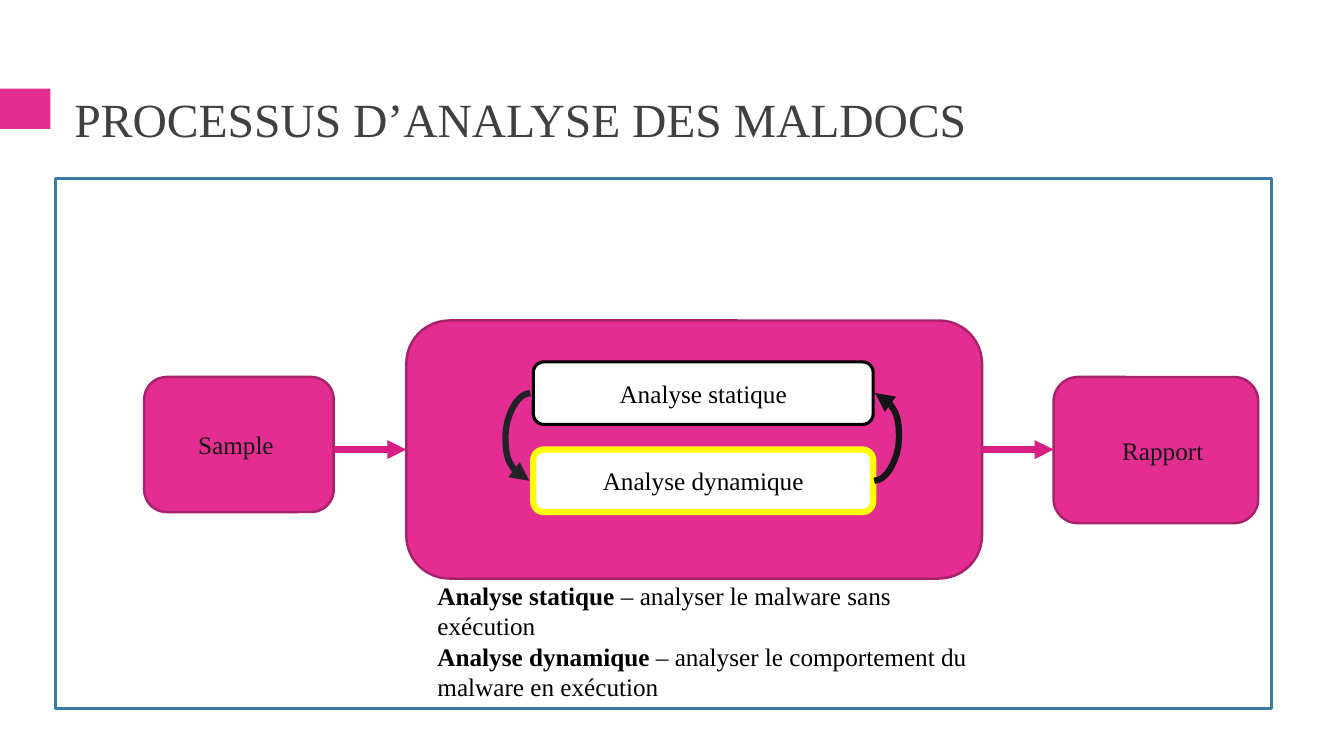
from pptx import Presentation
from pptx import util as u
from pptx.dml.color import RGBColor
from pptx.enum import shapes, text
from pptx.oxml import ns, xmlchemy as xml

HEX = {"pink": "E32D91", "plum": "A8216B", "rose": "D81D84", "blue": "3A7BA3",
       "gray": "404040", "ink": "151517", "dark": "222228", "black": "000000",
       "white": "FFFFFF", "gold": "FFFF00"}
KIND = shapes.MSO_SHAPE
LINK = shapes.MSO_CONNECTOR
ALIGN = text.PP_ALIGN


def rgb(name):
    return RGBColor.from_string(HEX[name])


def put(item, **vals):
    for key, val in vals.items():
        setattr(item, key, val)


def write(frame, paras, color, size=18, align=ALIGN.LEFT, left=0.1,
          anchor=text.MSO_ANCHOR.MIDDLE):
    """Fill a frame; each paragraph is a list of (text, bold) runs."""
    put(frame, word_wrap=True, vertical_anchor=anchor, margin_left=u.Inches(left))
    for i, runs in enumerate(paras):
        para = frame.paragraphs[0] if i == 0 else frame.add_paragraph()
        para.alignment = align
        for words, bold in runs:
            run = para.add_run()
            run.text = words
            put(run.font, name="Times New Roman", size=u.Pt(size), bold=bold)
            run.font.color.rgb = rgb(color)


def block(slide, box, fill=None, line=None, width=1.75, kind=KIND.ROUNDED_RECTANGLE):
    item = slide.shapes.add_shape(kind, *map(u.Inches, box))
    item.shadow.inherit = False
    if fill:
        item.fill.solid()
        item.fill.fore_color.rgb = rgb(fill)
    else:
        item.fill.background()
    if line:
        item.line.color.rgb = rgb(line)
        item.line.width = u.Pt(width)
    else:
        item.line.fill.background()
    return item


def label(slide, box, words, color, **form):
    frame = slide.shapes.add_textbox(*map(u.Inches, box)).text_frame
    write(frame, words, color, **form)


def arrow(slide, start, end, color, bend=None):
    """Draw an arrow; bend is the bulge as a multiple of its width."""
    kind = LINK.CURVE if bend else LINK.STRAIGHT
    item = slide.shapes.add_connector(kind, *map(u.Inches, start + end))
    item.line.color.rgb = rgb(color)
    item.line.width = u.Pt(4.5)
    props = item._element.spPr
    head = xml.OxmlElement("a:tailEnd")
    head.set("type", "triangle")
    props.find(ns.qn("a:ln")).append(head)
    props.append(xml.OxmlElement("a:effectLst"))
    if bend:
        guide = xml.OxmlElement("a:gd")
        guide.set("name", "adj1")
        guide.set("fmla", f"val {bend * 100000}")
        props.find(ns.qn("a:prstGeom")).get_or_add_avLst().append(guide)


def header(slide, box):
    x, y, w, h = box
    block(slide, (0, y + 0.11, 0.5, 0.4), "pink", kind=KIND.RECTANGLE)
    label(slide, (x, y, w, h), [[("PROCESSUS D’ANALYSE DES MALDOCS", None)]],
          "gray", size=34)


def engine(slide, box):
    """The central stage: two analyses feeding each other."""
    x, y, w, h = box
    block(slide, box, "pink", "plum")
    left, wide, high = x + 1.26, 3.37, 0.62
    top, step = y + 0.41, 0.87
    rows = [("Analyse statique", "black", 2.25), ("Analyse dynamique", "gold", 4.5)]
    for i, (words, line, width) in enumerate(rows):
        item = block(slide, (left, top + i * step, wide, high), "white", line, width)
        write(item.text_frame, [[(words, None)]], "black", align=ALIGN.CENTER)

    # Loop between the analyses
    mid, right = top + high / 2, left + wide
    arrow(slide, (left - 0.03, mid), (left - 0.04, mid + step), "dark", 25)
    arrow(slide, (right + 0.01, mid + step), (right + 0.02, mid), "ink", 25)


def flow(slide, box):
    x, y, w, h = box
    block(slide, box, line="blue", kind=KIND.RECTANGLE)

    # Stages
    start = (x + 0.88, y + 1.97, 1.88, 1.34)
    core = (x + 3.48, y + 1.41, 5.71, 2.56)
    end = (x + 9.9, y + 1.97, 2.03, 1.45)
    engine(slide, core)
    for words, place, left in (("Sample", start, 0.47), ("Rapport", end, 0.61)):
        item = block(slide, place, "pink", "plum")
        write(item.text_frame, [[(words, None)]], "ink", left=left)

    # Links from stage to stage
    mid = core[1] + core[3] / 2
    for one, two in ((start, core), (core, end)):
        arrow(slide, (one[0] + one[2], mid), (two[0], mid), "rose")

    # Definitions
    notes = [[("Analyse statique ", True),
              ("– analyser le malware sans exécution", False)],
             [("Analyse dynamique ", True),
              ("– analyser le comportement du malware en exécution", False)]]
    label(slide, (x + 3.69, y + 3.94, 5.48, 1.31), notes, "black",
          anchor=text.MSO_ANCHOR.TOP)


def main():
    deck = Presentation()
    put(deck, slide_width=u.Inches(13.33), slide_height=u.Inches(7.5))
    slide = deck.slides.add_slide(deck.slide_layouts[6])
    header(slide, (0.64, 0.77, 12.06, 0.81))
    flow(slide, (0.55, 1.77, 12.06, 5.26))
    deck.save("out.pptx")


if __name__ == "__main__":
    main()
